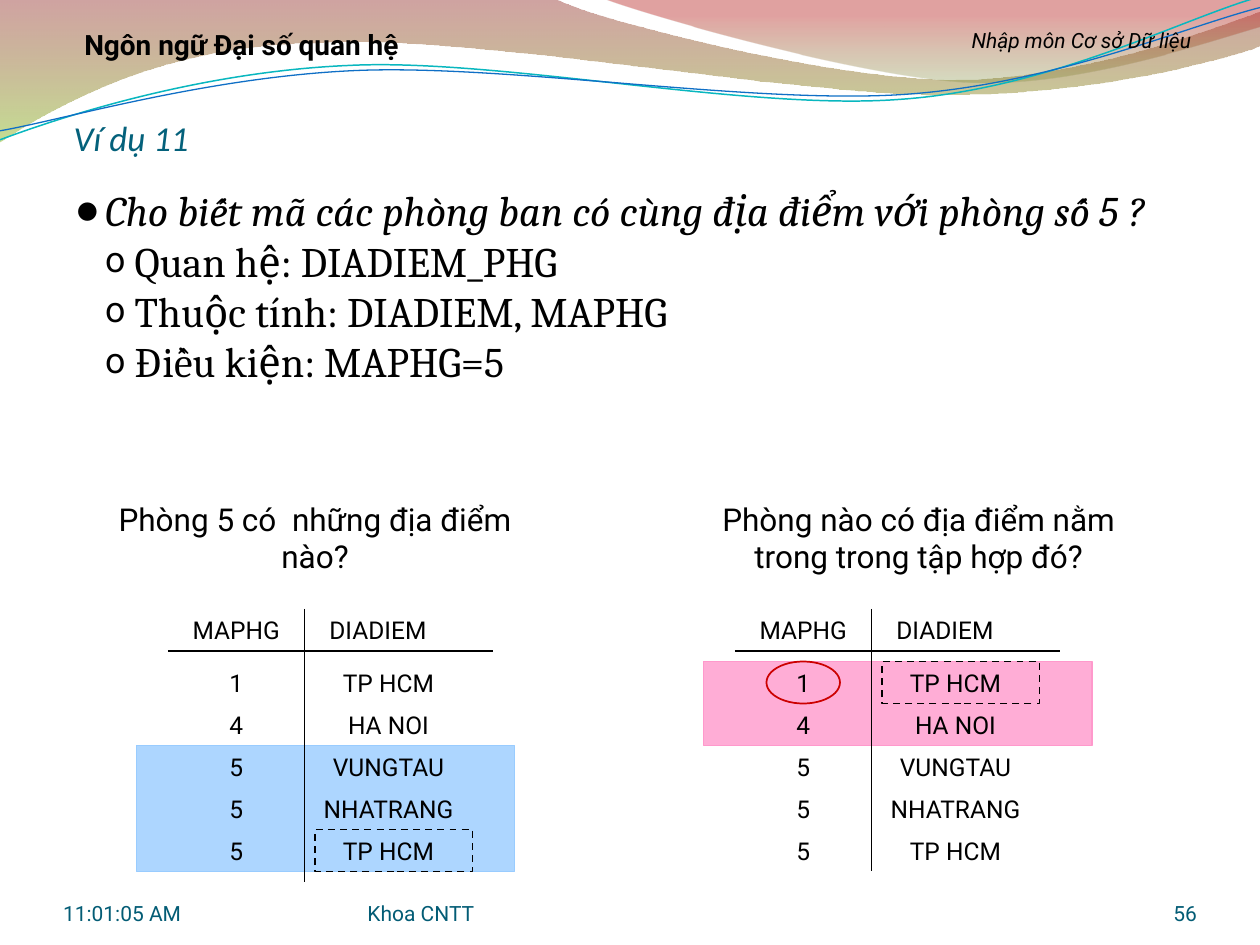
from lxml.etree import SubElement
from pptx import Presentation
from pptx.dml.color import RGBColor
from pptx.enum.dml import MSO_LINE
from pptx.enum.shapes import MSO_CONNECTOR, MSO_SHAPE
from pptx.enum.text import MSO_ANCHOR as ANCHOR, MSO_AUTO_SIZE, PP_ALIGN as ALIGN
from pptx.oxml.ns import qn
from pptx.util import Inches, Pt

BLACK = RGBColor(0x00, 0x00, 0x00)
TITLE_TEAL = RGBColor(0x04, 0x61, 0x7B)
FOOTER_TEAL = RGBColor(0x03, 0x5C, 0x75)
BRICK = RGBColor(0x97, 0x33, 0x30)
LIME = RGBColor(0x95, 0xC2, 0x38)
OLIVE = RGBColor(0x76, 0x95, 0x37)
RED = RGBColor(0xBE, 0x33, 0x30)
AQUA = RGBColor(0x09, 0xB7, 0xBF)
BLUE = RGBColor(0x0F, 0x6F, 0xC6)
PINK = RGBColor(0xFF, 0x99, 0xCC)
SKY = RGBColor(0x99, 0xCC, 0xFF)
RING_RED = RGBColor(0xCC, 0x00, 0x00)

# Relation tables, in grid units of a twelfth of an inch
HEADER_TOP, RULE_Y, FIRST_ROW, ROW = 58, 62, 63, 4
KEY_WIDTH, PLACE_WIDTH, PLACE_HEADER_WIDTH, RULE_WIDTH = 13, 16, 14, 31
LEFT_TABLE, RIGHT_TABLE = 16, 70
DEPARTMENTS = [("1", "TP HCM"), ("4", "HA NOI"), ("5", "VUNGTAU"),
               ("5", "NHATRANG"), ("5", "TP HCM")]

# Header waves: a start point, then segments of one point (line) or three (curve)
BACK_WAVE = [[(0, -0.01)], [(4.4, -0.01)],
             [(4.76, 0.17), (6.63, 0.63), (7.58, 0.63)],
             [(8.53, 0.63), (9.58, 0.25), (10, 0.09)], [(10.01, 0.36)],
             [(9.83, 0.44), (8.7, 0.76), (7.46, 0.75)],
             [(6.22, 0.75), (3.82, 0.28), (2.57, 0.34)],
             [(1.29, 0.35), (0.46, 0.83), (-0.01, 1.13)]]
FRONT_WAVE = [[(4.79, -0.01)], [(5.09, 0.11), (6.82, 0.61), (7.69, 0.65)],
              [(8.55, 0.69), (9.61, 0.32), (10, 0.21)], [(10, 0)]]
AQUA_WAVE = [[(0, 1.11)], [(0.48, 0.93), (1.58, 0.57), (2.77, 0.52)],
             [(3.95, 0.46), (5.92, 0.88), (7.13, 0.79)],
             [(8.33, 0.71), (9.38, 0.15), (9.98, -0.02)]]
BLUE_WAVE = [[(-0.01, 1.04)], [(0.47, 0.96), (1.64, 0.61), (2.83, 0.56)],
             [(4.03, 0.51), (5.97, 0.83), (7.17, 0.75)],
             [(8.36, 0.67), (9.41, 0.21), (10, 0.06)]]


def grid(*units):
    return [Inches(unit / 12) for unit in units]


def set_opacity(color_parent, percent):
    for color in color_parent.iter(qn("a:srgbClr")):
        SubElement(color, qn("a:alpha")).set("val", str(percent * 1000))


def add_wave(slide, outline, closed):
    """A freeform whose three-point segments become Bezier curves."""
    points = [(Inches(x), Inches(y)) for segment in outline for x, y in segment]
    builder = slide.shapes.build_freeform(*points[0])
    builder.add_line_segments(points[1:], close=closed)
    wave = builder.convert_to_shape()
    wave.shadow.inherit = False
    steps = iter(list(wave._element.iter(qn("a:lnTo"))))
    for segment in outline[1:]:
        first, *others = [next(steps) for _ in segment]
        if others:
            first.tag = qn("a:cubicBezTo")
        for other in others:
            first.append(other[0])
            other.getparent().remove(other)
    return wave


def add_gradient_wave(slide, outline, stops, angle):
    wave = add_wave(slide, outline, True)
    wave.line.fill.background()
    wave.fill.gradient()
    wave.fill.gradient_angle = angle
    for stop, (position, color, opacity) in zip(wave.fill.gradient_stops, stops):
        stop.position = position
        stop.color.rgb = color
        set_opacity(stop._gs, opacity)


def add_line_wave(slide, outline, color, width):
    wave = add_wave(slide, outline, False)
    wave.fill.background()
    wave.line.color.rgb = color
    wave.line.width = Pt(width)


def format_text(paragraph, size, color=BLACK, font="Roboto", italic=False, bold=False):
    for run in paragraph.runs:
        run.font.size = Pt(size)
        run.font.name = font
        run.font.color.rgb = color
        run.font.italic = italic
        run.font.bold = bold


def add_label(slide, text, box, size, align=ALIGN.CENTER, **style):
    label = slide.shapes.add_textbox(*grid(*box)).text_frame
    label.word_wrap = True
    label.text = text
    label.paragraphs[0].alignment = align
    format_text(label.paragraphs[0], size, **style)
    return label


def add_footer(slide, text, left, width, align=ALIGN.LEFT):
    footer = add_label(slide, text, (left, 83.4, width, 4.8), 12, align, color=FOOTER_TEAL)
    footer.vertical_anchor = ANCHOR.BOTTOM
    footer.margin_left = footer.margin_right = footer.margin_top = footer.margin_bottom = 0


def add_mark(slide, box, color, preset=MSO_SHAPE.RECTANGLE, filled=False, dashed=False):
    mark = slide.shapes.add_shape(preset, *grid(*box))
    mark.shadow.inherit = False
    mark.line.color.rgb = color
    mark.line.width = Pt(1)
    if dashed:
        mark.line.dash_style = MSO_LINE.DASH
    if filled:
        mark.fill.solid()
        mark.fill.fore_color.rgb = color
        set_opacity(mark._element.spPr.find(qn("a:solidFill")), 80)
    else:
        mark.fill.background()


def add_rule(slide, *ends):
    rule = slide.shapes.add_connector(MSO_CONNECTOR.STRAIGHT, *grid(*ends))
    rule.line.color.rgb = BLACK
    rule.line.width = Pt(1)
    SubElement(rule._element.spPr, qn("a:effectLst"))


def add_relation(slide, left, bottom):
    divider = left + KEY_WIDTH
    add_rule(slide, left, RULE_Y, left + RULE_WIDTH, RULE_Y)
    add_rule(slide, divider, HEADER_TOP, divider, bottom)
    add_label(slide, "MAPHG", (left, HEADER_TOP, KEY_WIDTH, ROW), 14)
    add_label(slide, "DIADIEM", (divider, HEADER_TOP, PLACE_HEADER_WIDTH, ROW), 14)
    for index, (key, place) in enumerate(DEPARTMENTS):
        top = FIRST_ROW + index * ROW
        add_label(slide, key, (left, top, KEY_WIDTH, ROW), 14)
        add_label(slide, place, (divider, top, PLACE_WIDTH, ROW), 14)


def add_bullet(paragraph, char, size, font, level):
    paragraph.level = level
    properties = paragraph._p.get_or_add_pPr()
    properties.set("marL", str(Inches(0.235 * (level + 1))))
    properties.set("indent", str(-Inches(0.235)))
    SubElement(properties, qn("a:buSzPct")).set("val", str(size * 1000))
    SubElement(properties, qn("a:buFont")).set("typeface", font)
    SubElement(properties, qn("a:buChar")).set("char", char)


def add_title(slide):
    title = slide.shapes.title
    title.left, title.top, title.width, title.height = grid(7, 9, 108, 6.1)
    frame = title.text_frame
    frame.text = "Ví dụ 11"
    frame.auto_size = MSO_AUTO_SIZE.NONE
    frame.vertical_anchor = ANCHOR.BOTTOM
    frame.margin_left = frame.margin_right = frame.margin_bottom = 0
    frame.paragraphs[0].alignment = ALIGN.LEFT
    format_text(frame.paragraphs[0], 20, TITLE_TEAL, "Calibri", italic=True)


def add_question(slide):
    body = slide.shapes.add_textbox(*grid(6, 17, 111, 68)).text_frame
    body.word_wrap = True
    body.text = "\n".join(["Cho biết mã các phòng ban có cùng địa điểm với phòng số 5 ?",
                           "Quan hệ: DIADIEM_PHG",
                           "Thuộc tính: DIADIEM, MAPHG",
                           "Điều kiện: MAPHG=5"])
    question, *details = body.paragraphs
    add_bullet(question, "●", 95, "Calibri", 0)
    format_text(question, 24, font="Cambria", italic=True)
    for detail in details:
        add_bullet(detail, "o", 85, "Roboto", 1)
        format_text(detail, 24, font="Cambria")


def main():
    prs = Presentation()
    prs.slide_width, prs.slide_height = Inches(10), Inches(7.5)
    slide = prs.slides.add_slide(prs.slide_layouts[5])

    # Header waves
    add_gradient_wave(slide, BACK_WAVE, [(0, BRICK, 45), (1, LIME, 55)], 270)
    add_gradient_wave(slide, FRONT_WAVE, [(0, OLIVE, 30), (0.8, RED, 45)], 90)
    add_line_wave(slide, AQUA_WAVE, AQUA, 0.85)
    add_line_wave(slide, BLUE_WAVE, BLUE, 0.75)

    # Title, question and captions
    add_title(slide)
    add_question(slide)
    add_label(slide, "Phòng 5 có  những địa điểm nào?", (10, 47, 40, 8.4), 18)
    add_label(slide, "Phòng nào có địa điểm nằm trong trong tập hợp đó?", (64, 47, 47, 8.4), 18)

    # Relations over their highlighted rows
    add_mark(slide, (67, FIRST_ROW, 37, 2 * ROW), PINK, filled=True)
    add_relation(slide, RIGHT_TABLE, 83)
    add_mark(slide, (13, FIRST_ROW + 2 * ROW, 36, 3 * ROW), SKY, filled=True)
    add_relation(slide, LEFT_TABLE, 84)

    # Marks on the matching values
    add_mark(slide, (RIGHT_TABLE + 3, FIRST_ROW, 7, ROW), RING_RED, MSO_SHAPE.OVAL)
    add_mark(slide, (LEFT_TABLE + 14, FIRST_ROW + 4 * ROW, 15, ROW), BLACK, dashed=True)
    add_mark(slide, (RIGHT_TABLE + 14, FIRST_ROW, 15, ROW), BLACK, dashed=True)

    # Footer and running heads
    add_footer(slide, "11:01:05 AM", 6, 28)
    add_footer(slide, "Khoa CNTT", 35, 44)
    add_footer(slide, "56", 104, 10, ALIGN.RIGHT)
    add_label(slide, "Nhập môn Cơ sở Dữ liệu", (86, 2, 34, 3.6), 12, italic=True)
    add_label(slide, "Ngôn ngữ Đại số quan hệ", (3, 2, 40, 4.3), 16, bold=True)

    prs.save("out.pptx")


if __name__ == "__main__":
    main()
